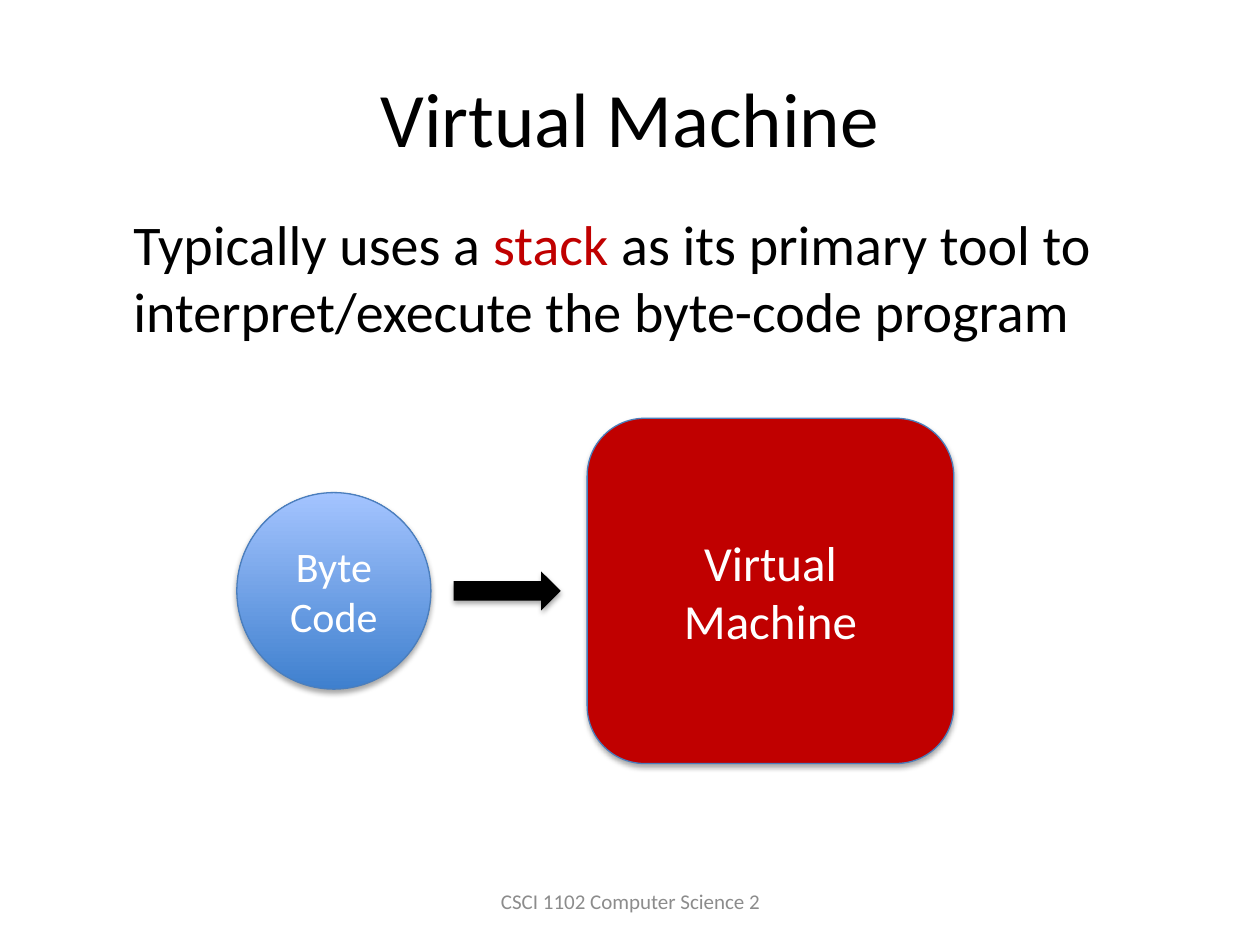
from lxml import etree
from pptx import Presentation
from pptx.dml.color import RGBColor
from pptx.enum import shapes, text
from pptx.oxml import ns
from pptx.util import Inches, Pt

# Content
TITLE = "Virtual Machine"
BODY = [("Typically uses a ", "000000"), ("stack", "C00000"),
        (" as its primary tool to interpret/execute the byte-code program", "000000")]
FOOTER = "CSCI 1102 Computer Science 2"
SHAPE = shapes.MSO_SHAPE
CENTER_Y = 4.69  # the diagram is one row centred on this line
# kind, left, width, height, fill (two colours: bottom, top), outline, label, size
DIAGRAM = [
    (SHAPE.OVAL, 1.88, 1.54, 1.56, ("3F80CE", "A4C4FF"), "4B7EBC", "Byte Code", 24),
    (SHAPE.RIGHT_ARROW, 3.6, 0.85, 0.31, ("000000",), None, "", 0),
    (SHAPE.ROUNDED_RECTANGLE, 4.66, 2.91, 2.74, ("C00000",), "4B7EBC", "Virtual Machine", 28),
]


def color(value):
    return RGBColor.from_string(value)


def place(sp, *box):
    for name, value in zip(("left", "top", "width", "height"), box):
        setattr(sp, name, Inches(value))


def write(sp, runs, size, align, anchor=text.MSO_ANCHOR.MIDDLE):
    tf = sp.text_frame
    for name, value in {"word_wrap": True, "vertical_anchor": anchor,
                        "auto_size": text.MSO_AUTO_SIZE.NONE}.items():
        setattr(tf, name, value)
    p = tf.paragraphs[0]
    p.alignment = align
    for words, hue in runs:
        r = p.add_run()
        r.text = words
        for name, value in {"name": "Calibri", "size": Pt(size)}.items():
            setattr(r.font, name, value)
        r.font.color.rgb = color(hue)


def paint(sp, colors):
    if len(colors) == 1:
        sp.fill.solid()
        sp.fill.fore_color.rgb = color(colors[0])
        return
    sp.fill.gradient()
    sp.fill.gradient_angle = 90
    for stop, position, hue in zip(sp.fill.gradient_stops, (0, 1), colors):
        stop.position = position
        stop.color.rgb = color(hue)


def add_shadow(sp):
    sp.shadow.inherit = False
    effects = sp._element.spPr.find(ns.qn("a:effectLst"))
    shadow = etree.SubElement(effects, ns.qn("a:outerShdw"), blurRad=str(Pt(3.1)),
                              dist=str(Pt(1.8)), dir="5400000", rotWithShape="0")
    black = etree.SubElement(shadow, ns.qn("a:srgbClr"), val="000000")
    etree.SubElement(black, ns.qn("a:alpha"), val="35000")


prs = Presentation()
prs.slide_width, prs.slide_height = Inches(10), Inches(7.5)
s = prs.slides.add_slide(prs.slide_layouts[5])
center, left = text.PP_ALIGN.CENTER, text.PP_ALIGN.LEFT

# Title, statement and footer
place(s.shapes.title, 0.5, 0.3, 9, 1.25)
write(s.shapes.title, [(TITLE, "000000")], 44, center)
body = s.shapes.add_textbox(Inches(0.96), Inches(1.61), Inches(8.79), Inches(1.18))
write(body, BODY, 32, left, text.MSO_ANCHOR.TOP)
footer = s.shapes.add_textbox(Inches(3.42), Inches(6.95), Inches(3.17), Inches(0.4))
write(footer, [(FOOTER, "8C8C8C")], 12, center)

# Diagram: byte code flows into the machine
for kind, x, w, h, fill, outline, label, size in DIAGRAM:
    sp = s.shapes.add_shape(kind, Inches(x), Inches(CENTER_Y - h / 2), Inches(w), Inches(h))
    paint(sp, fill)
    if outline:
        sp.line.color.rgb = color(outline)
        sp.line.width = Pt(0.75)
    else:
        sp.line.fill.background()
    add_shadow(sp)
    if label:
        write(sp, [(label, "FFFFFF")], size, center)

prs.save("out.pptx")
